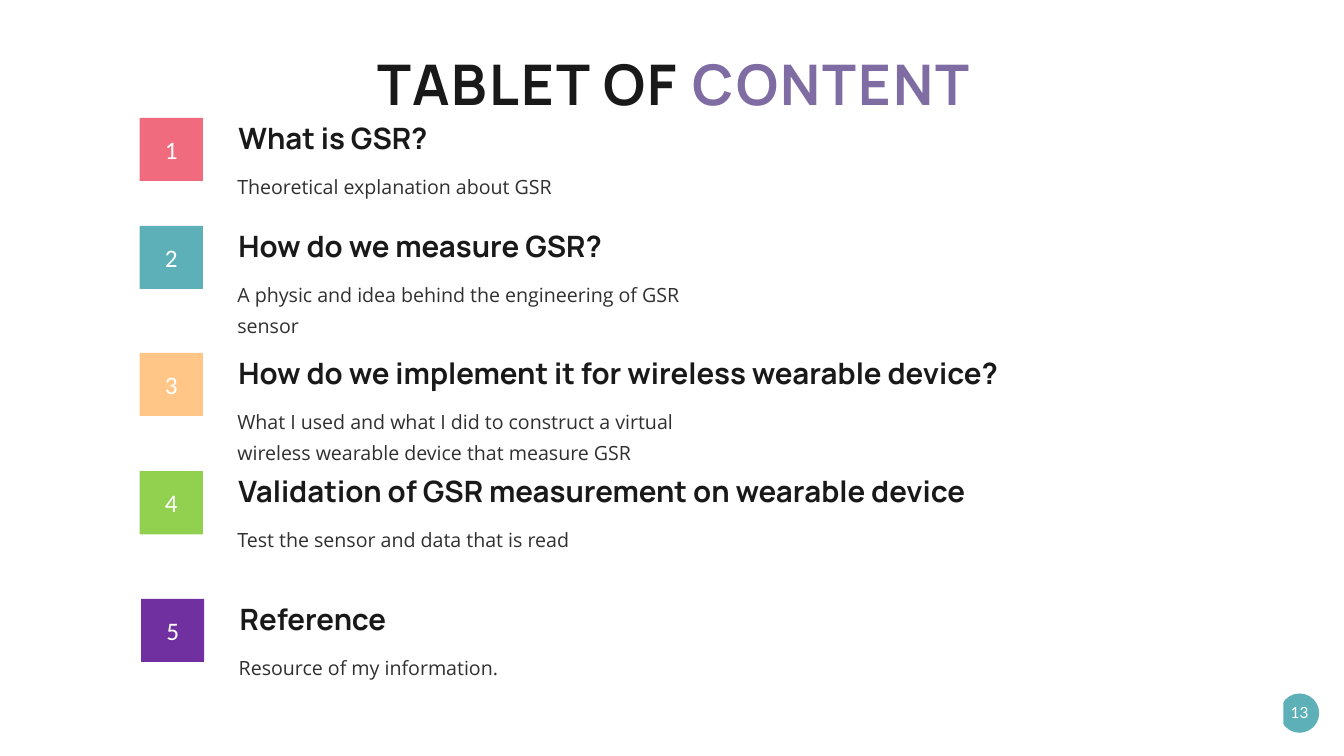
from dataclasses import dataclass

from pptx import Presentation
from pptx.dml.color import RGBColor
from pptx.enum.shapes import MSO_SHAPE
from pptx.enum.text import MSO_ANCHOR, MSO_AUTO_SIZE, PP_ALIGN
from pptx.util import Cm, Pt

RECT, OVAL = MSO_SHAPE.RECTANGLE, MSO_SHAPE.OVAL
LEFT, CENTER = PP_ALIGN.LEFT, PP_ALIGN.CENTER
TOP, MIDDLE = MSO_ANCHOR.TOP, MSO_ANCHOR.MIDDLE
GROW = MSO_AUTO_SIZE.SHAPE_TO_FIT_TEXT


@dataclass(frozen=True)
class Font:
    name: str
    size: int
    color: str
    bold: bool = False


@dataclass(frozen=True)
class Theme:
    white: str = "FFFFFF"
    teal: str = "5DB0B7"
    pink: str = "F06B7E"
    peach: str = "FFC688"
    green: str = "92D050"
    purple: str = "7030A0"
    title: Font = Font("Manrope", 80, "191919", True)
    accent: Font = Font("Manrope", 80, "7F6CA3", True)
    head: Font = Font("Manrope", 42, "191919", True)
    body: Font = Font("Open Sans", 28, "303030")
    number: Font = Font("Calibri", 36, "FFFFFF")
    page: Font = Font("Lato", 22, "FFFFFF")


class Deck:
    def __init__(self, theme, width, height):
        self.theme = theme
        self.prs = Presentation()
        self.prs.slide_width, self.prs.slide_height = Cm(width), Cm(height)
        self.slide = self.prs.slides.add_slide(self.prs.slide_layouts[5])

    def fill(self, frame, runs, align=LEFT, anchor=TOP, wrap=True, pitch=None,
             inset=(0.25, 0.13), track=None):
        """Set the frame, then add its one paragraph run by run."""
        frame.word_wrap, frame.vertical_anchor = wrap, anchor
        frame.margin_left = frame.margin_right = Cm(inset[0])
        frame.margin_top = frame.margin_bottom = Cm(inset[1])
        para = frame.paragraphs[0]
        para.alignment = align
        if pitch:
            para.line_spacing = Pt(pitch)
        for text, style in runs:
            run = para.add_run()
            run.text = text
            font = run.font
            font.name, font.size, font.bold = style.name, Pt(style.size), style.bold
            font.color.rgb = RGBColor.from_string(style.color)
            if track:
                run._r.get_or_add_rPr().set("spc", str(track * 100))

    def title(self, box, runs):
        shape = self.slide.shapes.title
        shape.left, shape.top, shape.width, shape.height = map(Cm, box)
        self.fill(shape.text_frame, runs, CENTER, MIDDLE, False,
                  inset=(0, 0), track=3)
        shape.text_frame.auto_size = GROW

    def shape(self, kind, box, color, label=None):
        shape = self.slide.shapes.add_shape(kind, *map(Cm, box))
        shape.shadow.inherit = False
        shape.fill.solid()
        shape.fill.fore_color.rgb = RGBColor.from_string(color)
        shape.line.fill.background()
        if label:
            self.fill(shape.text_frame, [(label, self.theme.number)],
                      CENTER, MIDDLE)

    def text(self, box, text, style, **layout):
        frame = self.slide.shapes.add_textbox(*map(Cm, box)).text_frame
        self.fill(frame, [(text, style)], **layout)
        frame.auto_size = GROW

    def item(self, number, x, y, color, head, head_width, body, body_width):
        """A numbered square with a heading and a line of detail."""
        self.shape(RECT, (x, y, 3.18, 3.18), color, str(number))
        self.text((x + 4.72, y - 0.03, head_width, 2.06), head,
                  self.theme.head, wrap=False)
        self.text((x + 4.67, y + 2.36, body_width, 1.7), body,
                  self.theme.body, pitch=44.4)


def main():
    theme = Theme()
    deck = Deck(theme, 67.72, 38.1)

    # Page badge, trimmed on its left by a white panel
    deck.shape(OVAL, (64.49, 34.95, 1.98, 1.98), theme.teal)
    deck.text((64.52, 35.18, 1.93, 1.45), "13", theme.page,
              align=CENTER, wrap=False, inset=(0.51, 0.25))
    deck.shape(RECT, (49.71, 32.44, 14.96, 5.08), theme.white)

    # Title
    deck.title((18.06, 2.49, 31.78, 3.43),
               [("TABLET OF ", theme.title), ("CONTENT", theme.accent)])

    # Contents: x, y, colour, heading and width, detail and width
    items = [
        (7.04, 5.94, theme.pink, "What is GSR?", 10.46,
         "Theoretical explanation about GSR", 22.73),
        (7.04, 11.38, theme.teal, "How do we measure GSR?", 20.07,
         "A physic and idea behind the engineering of GSR sensor", 25.45),
        (7.04, 17.78, theme.peach,
         "How do we implement it for wireless wearable device?", 41.83,
         "What I used and what I did to construct a virtual "
         "wireless wearable device that measure GSR", 24.33),
        (7.04, 23.75, theme.green,
         "Validation of GSR measurement on wearable device", 40.79,
         "Test the sensor and data that is read", 22.73),
        (7.11, 30.18, theme.purple, "Reference", 8.26,
         "Resource of my information.", 22.73),
    ]
    for number, item in enumerate(items, 1):
        deck.item(number, *item)

    deck.prs.save("out.pptx")


if __name__ == "__main__":
    main()
